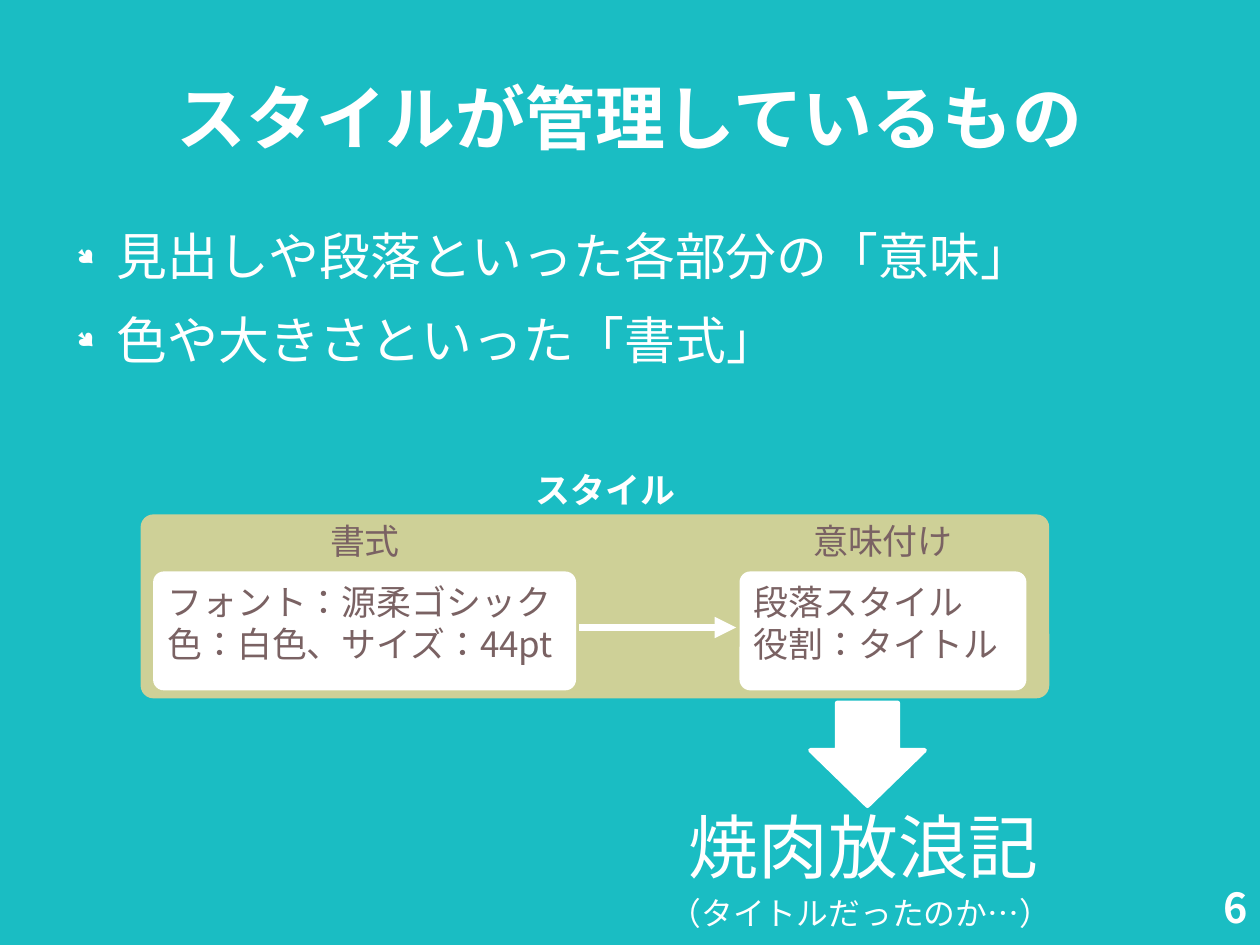
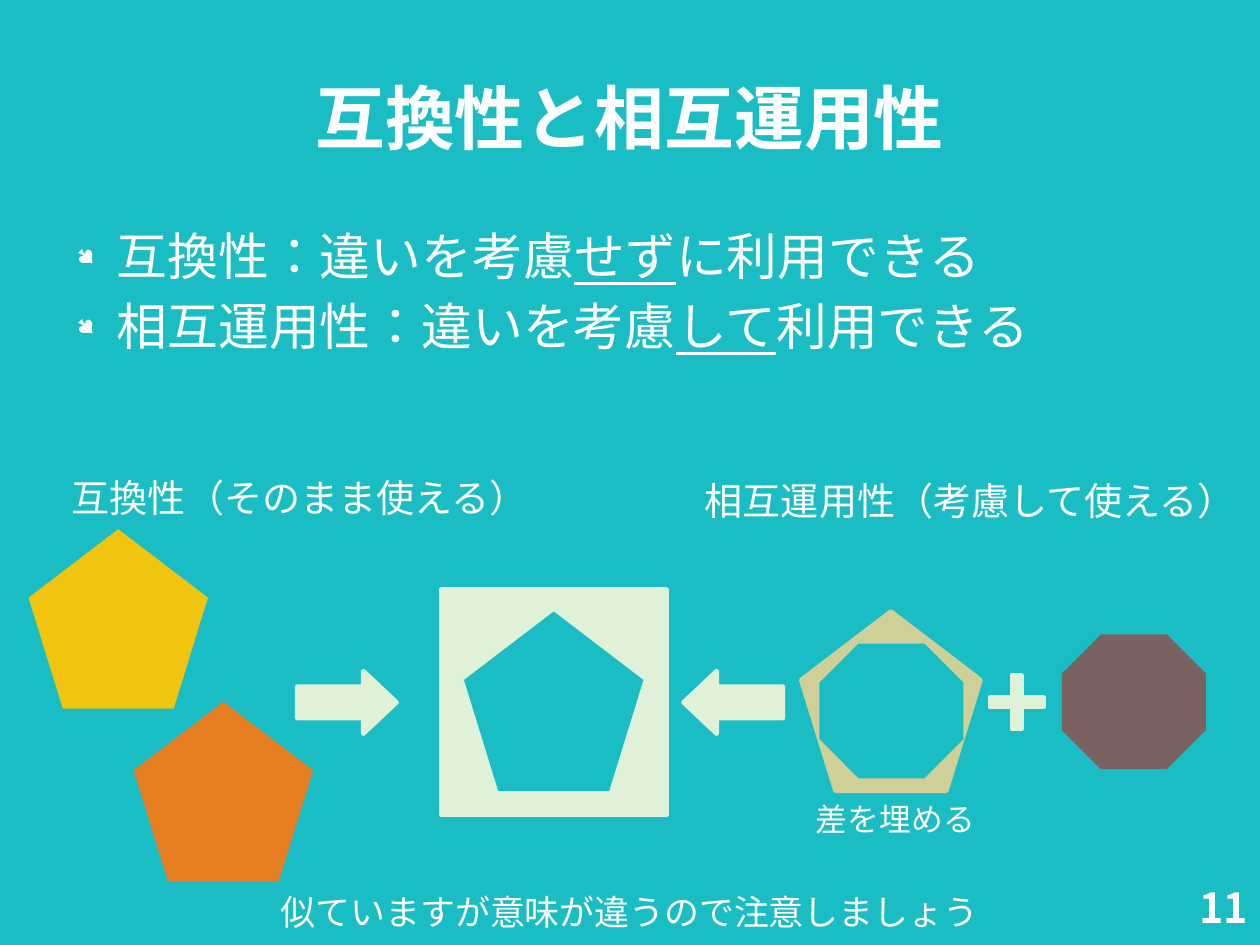
from dataclasses import dataclass

from lxml import etree
from pptx import Presentation
from pptx.dml.color import RGBColor
from pptx.enum.lang import MSO_LANGUAGE_ID
from pptx.enum.shapes import MSO_CONNECTOR, MSO_SHAPE
from pptx.enum.text import MSO_ANCHOR, MSO_AUTO_SIZE, PP_ALIGN
from pptx.oxml.ns import qn
from pptx.util import Inches, Pt

LEFT, CENTER, RIGHT = PP_ALIGN.LEFT, PP_ALIGN.CENTER, PP_ALIGN.RIGHT
TOP, MIDDLE = MSO_ANCHOR.TOP, MSO_ANCHOR.MIDDLE
ROUNDED, SQUARE = MSO_SHAPE.ROUNDED_RECTANGLE, MSO_SHAPE.RECTANGLE
PENTAGON, OCTAGON = MSO_SHAPE.REGULAR_PENTAGON, MSO_SHAPE.OCTAGON
PLUS, DOWN = MSO_SHAPE.CROSS, MSO_SHAPE.DOWN_ARROW
ARROW_LEFT, ARROW_RIGHT = MSO_SHAPE.LEFT_ARROW, MSO_SHAPE.RIGHT_ARROW
STRAIGHT, FIT = MSO_CONNECTOR.STRAIGHT, MSO_AUTO_SIZE.SHAPE_TO_FIT_TEXT
JAPANESE = MSO_LANGUAGE_ID.JAPANESE

CM_PER_INCH = 2.54
SLIDE_SIZE = Inches(28 / CM_PER_INCH), Inches(21 / CM_PER_INCH)
FONT = "Noto Sans CJK JP"
TEAL, WHITE, SAND, BROWN = "1ABDC3", "FFFFFF", "CED097", "7A6263"
MINT, YELLOW, ORANGE = "DFF2D8", "F1C40F", "E67E22"
OUTLINE = 2.83

Box = tuple[float, float, float, float]


@dataclass
class Label:
    at: Box
    lines: tuple[str, ...]
    size: float
    color: str = WHITE
    bold: bool = False
    align: PP_ALIGN = LEFT
    wrap: bool = False


@dataclass
class Block:
    """A filled preset shape, outlined in its own colour when asked."""
    kind: MSO_SHAPE
    at: Box
    fill: str
    outlined: bool = False
    adj: tuple[float, ...] = ()
    lines: tuple[str, ...] = ()


@dataclass
class Page:
    number: int
    title: str
    bullets: tuple[str, ...]
    bullet_gap: float
    blocks: list[Block]
    labels: list[Label]
    arrows: tuple[Box, ...] = ()


def rgb(color: str) -> RGBColor:
    return RGBColor.from_string(color)


def add_bullet(p) -> None:
    pPr = p._p.get_or_add_pPr()
    pPr.set("marL", str(Inches(0.47)))
    pPr.set("indent", str(Inches(-0.35)))
    clr = etree.SubElement(pPr, qn("a:buClr"))
    etree.SubElement(clr, qn("a:srgbClr"), val=WHITE)
    etree.SubElement(pPr, qn("a:buSzPct"), val="45000")
    etree.SubElement(pPr, qn("a:buFont"), typeface="Wingdings", charset="2")
    etree.SubElement(pPr, qn("a:buChar"), char="●")


def write(tf, lines: tuple[str, ...], size: float, color: str, bold: bool = False,
          align: PP_ALIGN = LEFT, bullets: bool = False, gap: float = 0) -> None:
    """Fill a text frame; parts between underscores are underlined."""
    style = {"name": FONT, "size": Pt(size), "bold": bold, "language_id": JAPANESE}
    for i, line in enumerate(lines):
        p = tf.paragraphs[0] if i == 0 else tf.add_paragraph()
        if bullets:
            add_bullet(p)
        p.alignment = align
        if i and gap:
            p.space_before = Pt(gap)
        for j, part in enumerate(line.split("_")):
            r = p.add_run()
            r.text = part
            for key, value in style.items():
                setattr(r.font, key, value)
            r.font.color.rgb = rgb(color)
            if j % 2:
                r.font.underline = True
            etree.SubElement(r._r.get_or_add_rPr(), qn("a:ea"), typeface=FONT)


def add_frame(s, at: Box, anchor: MSO_ANCHOR = TOP):
    """Add a wrapping text box without margins and return its text frame."""
    tf = s.shapes.add_textbox(*map(Inches, at)).text_frame
    frame = {"word_wrap": True, "vertical_anchor": anchor, "margin_left": 0,
             "margin_top": 0, "margin_right": 0, "margin_bottom": 0}
    for key, value in frame.items():
        setattr(tf, key, value)
    return tf


def add_label(s, label: Label) -> None:
    tf = s.shapes.add_textbox(*map(Inches, label.at)).text_frame
    tf.word_wrap = label.wrap
    tf.auto_size = FIT
    write(tf, label.lines, label.size, label.color, label.bold, label.align)


def add_block(s, block: Block) -> None:
    sp = s.shapes.add_shape(block.kind, *map(Inches, block.at))
    sp.shadow.inherit = False
    sp.fill.solid()
    sp.fill.fore_color.rgb = rgb(block.fill)
    for i, value in enumerate(block.adj):
        sp.adjustments[i] = value
    if block.outlined:
        sp.line.color.rgb = rgb(block.fill)
        sp.line.width = Pt(OUTLINE)
    else:
        sp.line.fill.background()
    if block.lines:
        sp.text_frame.word_wrap = True
        sp.text_frame.vertical_anchor = TOP
        write(sp.text_frame, block.lines, 22, BROWN)


def add_arrow(s, ends: Box) -> None:
    c = s.shapes.add_connector(STRAIGHT, *map(Inches, ends))
    c.line.color.rgb = rgb(WHITE)
    c.line.width = Pt(4.5)
    spPr = c._element.spPr
    etree.SubElement(spPr.find(qn("a:ln")), qn("a:tailEnd"), type="triangle")
    etree.SubElement(spPr, qn("a:effectLst"))


def add_page(prs, page: Page) -> None:
    s = prs.slides.add_slide(prs.slide_layouts[6])
    write(add_frame(s, (0.55, 0.33, 9.92, 1.38), MIDDLE), (page.title,), 44, WHITE,
          True, CENTER)
    write(add_frame(s, (0.55, 1.97, 9.92, 1.73)), page.bullets, 32, WHITE,
          bullets=True, gap=page.bullet_gap)
    for block in page.blocks:
        add_block(s, block)
    for label in page.labels:
        add_label(s, label)
    for ends in page.arrows:
        add_arrow(s, ends)
    write(add_frame(s, (8.35, 7.72, 2.57, 0.57)), (str(page.number),), 26, WHITE,
          True, RIGHT)


def pentagon(left: float, top: float, fill: str, outlined: bool = False) -> Block:
    return Block(PENTAGON, (left, top, 1.57, 1.57), fill, outlined)


def octagon(left: float, top: float, fill: str) -> Block:
    return Block(OCTAGON, (left, top, 1.26, 1.18), fill, adj=(0.29,))


def side_arrow(kind: MSO_SHAPE, left: float) -> Block:
    return Block(kind, (left, 5.87, 0.87, 0.55), MINT, True, (0.5, 0.53))


STYLE_PAGE = Page(
    6, "スタイルが管理しているもの",
    ("見出しや段落といった各部分の「意味」", "色や大きさといった「書式」"), 14.1,
    blocks=[
        Block(ROUNDED, (1.23, 4.5, 7.95, 1.61), SAND, adj=(0.07,)),
        Block(ROUNDED, (1.34, 5, 3.7, 1.04), WHITE, adj=(0.09,),
              lines=("フォント：源柔ゴシック", "色：白色、サイズ：44pt")),
        Block(ROUNDED, (6.47, 5, 2.51, 1.04), WHITE, adj=(0.09,),
              lines=("段落スタイル", "役割：タイトル")),
        Block(DOWN, (7.09, 6.15, 1, 0.9), WHITE, True, (0.53, 0.54)),
    ],
    labels=[
        Label((4.59, 4.05, 1.42, 0.54), ("スタイル",), 22, bold=True),
        Label((2.79, 4.5, 0.81, 0.54), ("書式",), 22, BROWN, wrap=True),
        Label((6.83, 4.5, 1.79, 0.54), ("意味付け",), 22, BROWN, align=CENTER, wrap=True),
        Label((5.93, 6.98, 3.26, 0.99), ("焼肉放浪記",), 44),
        Label((5.76, 7.77, 3.54, 0.5), ("（タイトルだったのか…）",), 20),
    ],
    arrows=((5.07, 5.49, 6.44, 5.49),),
)

COMPATIBILITY_PAGE = Page(
    11, "互換性と相互運用性",
    ("互換性：違いを考慮_せず_に利用できる", "相互運用性：違いを考慮_して_利用できる"), 5.7,
    blocks=[
        pentagon(0.25, 4.63, YELLOW),
        pentagon(1.17, 6.14, ORANGE),
        side_arrow(ARROW_RIGHT, 2.6),
        Block(SQUARE, (3.86, 5.16, 1.97, 1.97), MINT, True),
        pentagon(4.06, 5.35, TEAL),
        side_arrow(ARROW_LEFT, 5.98),
        pentagon(7.01, 5.35, SAND, True),
        octagon(7.17, 5.63, TEAL),
        Block(PLUS, (8.66, 5.91, 0.47, 0.47), MINT, True, (0.41,)),
        octagon(9.29, 5.55, BROWN),
    ],
    labels=[
        Label((0.53, 4.1, 4.2, 0.67), ("互換性（そのまま使える）",), 24),
        Label((6.06, 4.13, 4.86, 0.61), ("相互運用性（考慮して使える）",), 24, align=CENTER),
        Label((7.04, 6.95, 1.66, 0.53), ("差を埋める",), 20),
        Label((2.36, 7.74, 6.3, 0.54), ("似ていますが意味が違うので注意しましょう",), 22),
    ],
)


def main() -> None:
    prs = Presentation()
    prs.slide_width, prs.slide_height = SLIDE_SIZE
    fill = prs.slide_master.background.fill
    fill.solid()
    fill.fore_color.rgb = rgb(TEAL)
    for page in (STYLE_PAGE, COMPATIBILITY_PAGE):
        add_page(prs, page)
    prs.save("out.pptx")


if __name__ == "__main__":
    main()
